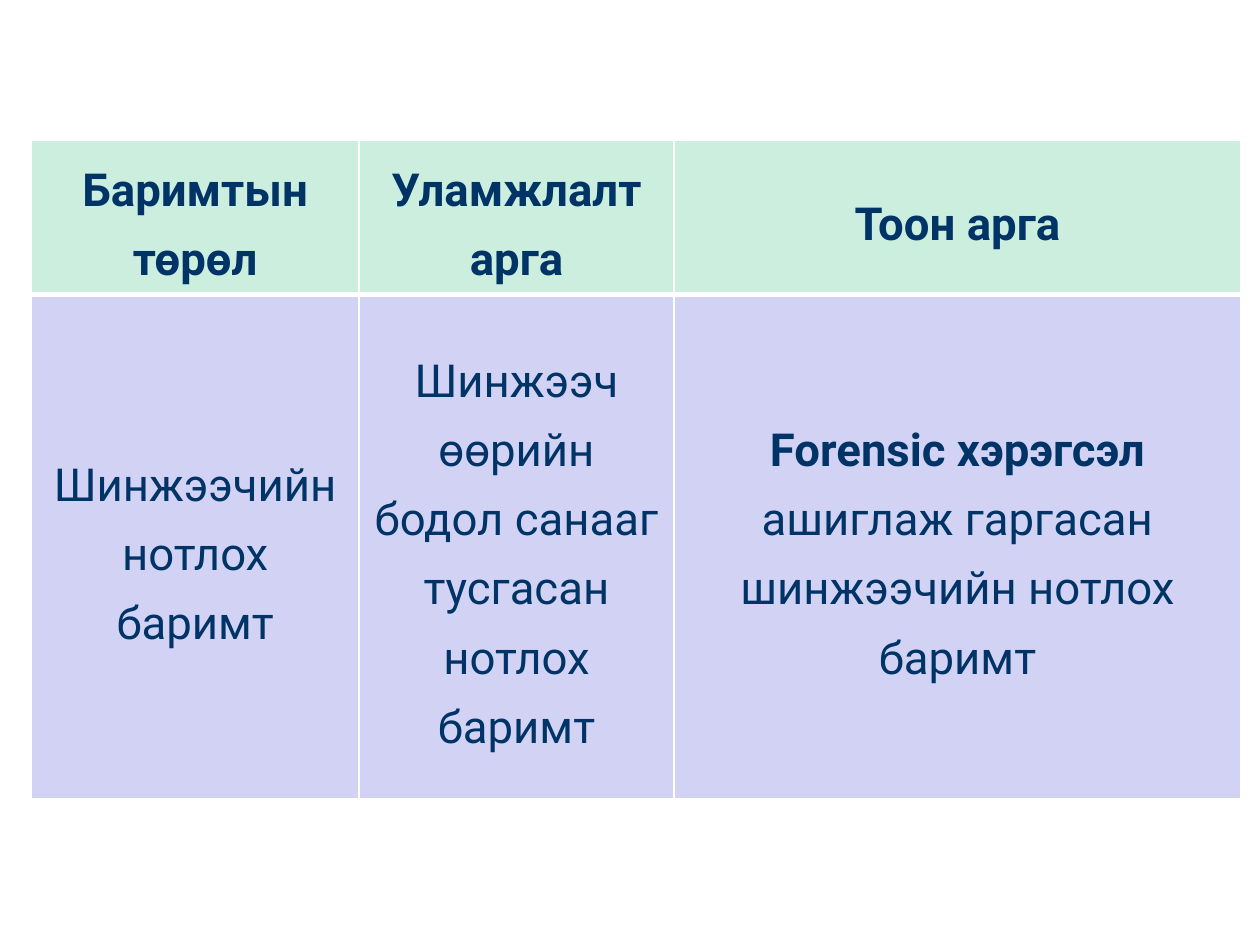
from dataclasses import dataclass

from lxml.etree import SubElement
from pptx import Presentation
from pptx.dml.color import RGBColor
from pptx.enum.text import MSO_ANCHOR, PP_ALIGN
from pptx.oxml.ns import qn
from pptx.table import Table, _Cell
from pptx.util import Inches, Pt

NAVY = RGBColor(0x00, 0x33, 0x66)
MINT = RGBColor(0xCC, 0xEE, 0xDF)
LILAC = RGBColor(0xD2, 0xD2, 0xF4)
WHITE = RGBColor(0xFF, 0xFF, 0xFF)
WIDTH, HEIGHT = Inches(10), Inches(7.5)
LEFT, TOP = Inches(0.25), Inches(1.11)
COLS = (0.26, 0.25, 0.45)


@dataclass(frozen=True)
class Row:
    """One table row: height in inches, colour, edge widths and cell runs."""

    height: float
    fill: RGBColor
    top: int
    bottom: int
    cells: tuple[tuple[tuple[str, bool], ...], ...]


ROWS = (
    Row(1.23, MINT, 1, 3, (
        (("Баримтын төрөл", True),),
        (("Уламжлалт арга", True),),
        (("Тоон арга", True),),
    )),
    Row(4, LILAC, 3, 1, (
        (("Шинжээчийн нотлох баримт", False),),
        (("Шинжээч өөрийн бодол санааг тусгасан нотлох баримт", False),),
        (("Forensic хэрэгсэл ", True),
         ("ашиглаж гаргасан шинжээчийн нотлох баримт", False)),
    )),
)


def edge(cell: _Cell, side: str, width: int) -> None:
    """Draw one white border of a cell."""
    props = cell._tc.get_or_add_tcPr()
    line = SubElement(props, qn(f"a:ln{side}"), w=str(Pt(width)))
    fill = SubElement(line, qn("a:solidFill"))
    SubElement(fill, qn("a:srgbClr"), val=str(WHITE))


def write(cell: _Cell, row: Row, runs: tuple[tuple[str, bool], ...]) -> None:
    """Style a cell and set its text."""
    for side, width in zip("LRTB", (1, 1, row.top, row.bottom)):
        edge(cell, side, width)
    cell.fill.solid()
    cell.fill.fore_color.rgb = row.fill
    cell.vertical_anchor = MSO_ANCHOR.MIDDLE
    para = cell.text_frame.paragraphs[0]
    para.alignment = PP_ALIGN.CENTER
    para.line_spacing = 1.3
    para.font.name = "Roboto"
    para.font.size = Pt(26)
    para.font.color.rgb = NAVY
    for text, bold in runs:
        run = para.add_run()
        run.text = text
        run.font.bold = bold


def fill_rows(table: Table) -> None:
    """Size the grid and write every row."""
    for col, share in zip(table.columns, COLS):
        col.width = int(WIDTH * share)
    for i, row in enumerate(ROWS):
        table.rows[i].height = Inches(row.height)
        for j, runs in enumerate(row.cells):
            write(table.cell(i, j), row, runs)


def main() -> None:
    """Build the slide and save it."""
    deck = Presentation()
    deck.slide_width, deck.slide_height = WIDTH, HEIGHT
    slide = deck.slides.add_slide(deck.slide_layouts[6])
    tall = Inches(sum(row.height for row in ROWS))
    frame = slide.shapes.add_table(
        len(ROWS), len(COLS), LEFT, TOP, int(WIDTH * sum(COLS)), tall)
    fill_rows(frame.table)
    deck.save("out.pptx")


if __name__ == "__main__":
    main()
